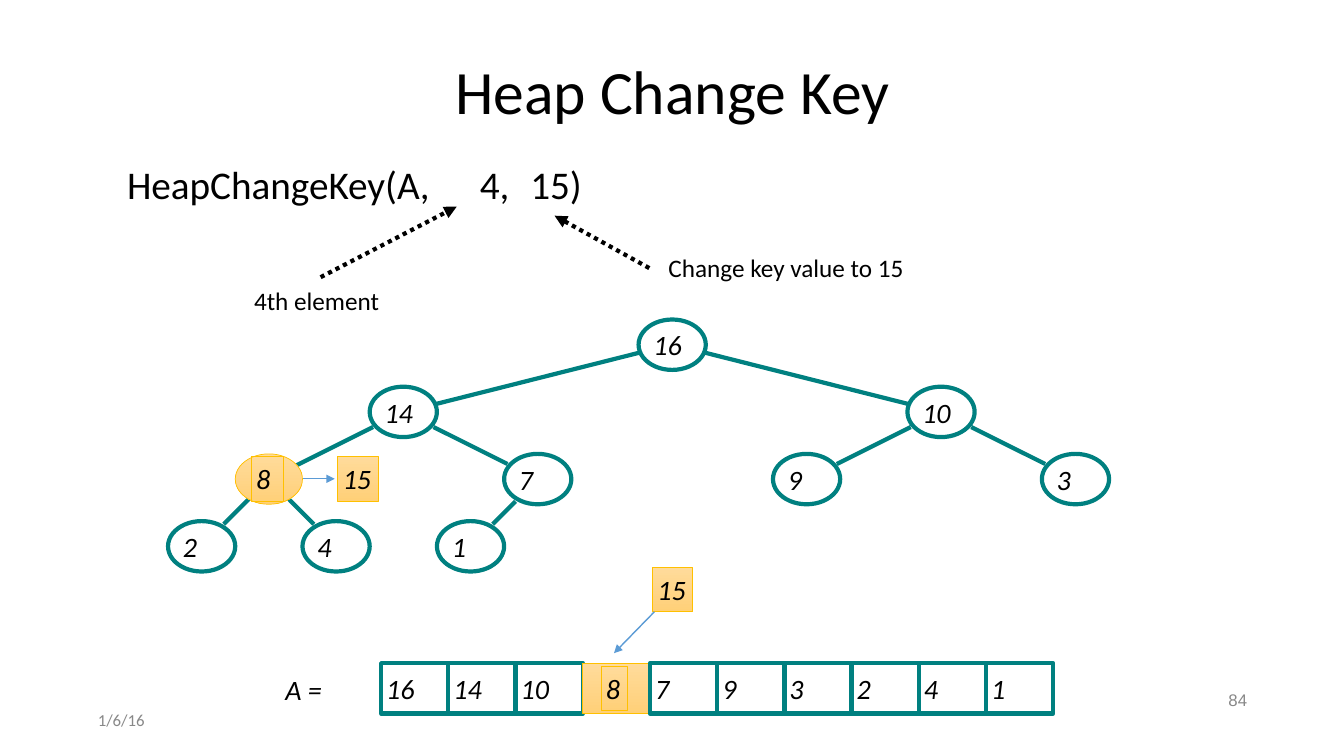
from dataclasses import dataclass

from lxml.etree import SubElement
from pptx import Presentation
from pptx.dml.color import RGBColor
from pptx.enum.dml import MSO_LINE
from pptx.enum.shapes import MSO_CONNECTOR, MSO_SHAPE
from pptx.enum.text import MSO_ANCHOR, MSO_AUTO_SIZE, PP_ALIGN
from pptx.oxml.ns import qn
from pptx.util import Inches, Pt

# Content
TITLE = "Heap Change Key"
CALL = "HeapChangeKey(A,\t4,\t15)"
CALL_TABS = (3.36, 4.02)
HEAP = [16, 14, 10, 8, 7, 9, 3, 2, 4, 1]
CHANGED = 3  # index of the element whose key changes
NEW_KEY = "15"
LABELS = [  # text, (left, top, width, height), format
    ("Change key value to 15", (6.58, 2.45, 2.45, 0.41), {"size": 18, "wrap": False}),
    ("4th element", (2.47, 2.78, 1.36, 0.41), {"size": 18, "wrap": False}),
    ("A =", (2.78, 6.62, 0.48, 0.43), {"italic": True, "wrap": False}),
    ("1/6/16", (0.92, 7, 3, 0.29), {"size": 12, "color": "888888"}),
    ("84", (9.42, 6.8, 3, 0.29), {"size": 12, "color": "888888", "font": "Arial",
                                  "align": PP_ALIGN.RIGHT}),
]
CALL_ARROWS = [((3.18, 2.75), (4.53, 2.05)), ((6.44, 2.66), (5.5, 2.14))]
NODE_ARROW = ((2.84, 4.75), (3.32, 4.75))
CELL_ARROW = ((6.49, 6.07), (6.09, 6.48))

# Geometry in inches
WIDTH, HEIGHT = 2 / 3, 0.5  # of a tree node and of an array cell
TREE_LEFT, TREE_TOP, TREE_SPAN, LEVEL_STEP = 4 / 3, 3.17, 32 / 3, 2 / 3
ARRAY_LEFT, ARRAY_TOP = 3.78, 6.58
EDGE_INSETS = [(0.33, 0.08), (0.3, 0.15), (0.22, 0.22)]  # by parent level


@dataclass(frozen=True)
class Theme:
    font: str = "Calibri"
    ink: str = "000000"
    teal: str = "008080"
    blue: str = "5B9BD5"
    gold: str = "FFC000"
    gold_top: str = "FFDB9B"
    gold_bottom: str = "FFD078"
    title: int = 44
    call: int = 28
    key: int = 20


THEME = Theme()


def rgb(value):
    return RGBColor.from_string(value)


def write(shape, text, size=THEME.key, color=THEME.ink, font=THEME.font, italic=False,
          align=PP_ALIGN.LEFT, anchor=MSO_ANCHOR.MIDDLE, wrap=True, spacing=None,
          inset_y=0.05, tabs=()):
    frame = shape.text_frame
    frame.auto_size = MSO_AUTO_SIZE.NONE
    frame.word_wrap = wrap
    frame.vertical_anchor = anchor
    frame.margin_left = frame.margin_right = Inches(0.05)
    frame.margin_top = frame.margin_bottom = Inches(inset_y)
    para = frame.paragraphs[0]
    para.alignment = align
    para.space_before = Pt(0)
    if spacing:
        para.line_spacing = spacing
    if tabs:
        properties = para._p.get_or_add_pPr()
        properties.set("marL", "0")
        properties.set("indent", "0")
        SubElement(properties, qn("a:buNone"))
        tab_list = SubElement(properties, qn("a:tabLst"))
        for stop in tabs:
            SubElement(tab_list, qn("a:tab"), pos=str(Inches(stop)), algn="l")
    span = para.add_run()
    span.text = text
    span.font.name, span.font.size = font, Pt(size)
    span.font.italic = italic
    span.font.color.rgb = rgb(color)


def place(shape, box):
    shape.left, shape.top, shape.width, shape.height = map(Inches, box)


def add_box(page, kind, box, text="", gold=False, filled=True):
    shape = page.shapes.add_shape(kind, *map(Inches, box))
    shape.shadow.inherit = False
    if not filled:
        shape.fill.background()
    elif gold:
        shape.fill.gradient()
        shape.fill.gradient_angle = 270
        stops = shape.fill.gradient_stops
        for stop, color in zip(stops, (THEME.gold_top, THEME.gold_bottom)):
            stop.color.rgb = rgb(color)
    else:
        shape.fill.solid()
        shape.fill.fore_color.rgb = rgb("FFFFFF")
    shape.line.color.rgb = rgb(THEME.gold if gold else THEME.teal)
    shape.line.width = Pt(0.5 if gold else 3)
    if text:
        write(shape, text, italic=True, inset_y=0)


def add_line(page, start, end, color=THEME.teal, width=3, dash=None, arrow=False):
    line = page.shapes.add_connector(MSO_CONNECTOR.STRAIGHT, *map(Inches, start + end))
    line.line.color.rgb = rgb(color)
    line.line.width = Pt(width)
    if dash:
        line.line.dash_style = dash
    if arrow:
        SubElement(line.line._get_or_add_ln(), qn("a:tailEnd"), type="triangle")
    SubElement(line._element.spPr, qn("a:effectLst"))


def node_center(index):
    level = (index + 1).bit_length() - 1
    slot = index + 1 - 2 ** level
    x = TREE_LEFT + TREE_SPAN / 2 ** level * (slot + 0.5)
    return x, TREE_TOP + LEVEL_STEP * level + HEIGHT / 2, level


def add_node(page, index):
    x, y, _ = node_center(index)
    changed = index == CHANGED
    add_box(page, MSO_SHAPE.OVAL, (x - WIDTH / 2, y - HEIGHT / 2, WIDTH, HEIGHT),
            "" if changed else str(HEAP[index]), gold=changed)


def add_edge(page, child):
    parent = (child - 1) // 2
    (x1, y1, level), (x2, y2, _) = node_center(parent), node_center(child)
    dx, dy = EDGE_INSETS[level]
    side = 1 if x2 > x1 else -1
    # Edges run to the centre of the changed node, which lies over them
    start = (x1, y1) if parent == CHANGED else (x1 + side * dx, y1 + dy)
    end = (x2, y2) if child == CHANGED else (x2 - side * dx, y2 - dy)
    add_line(page, start, end)


def add_tree(page):
    add_line(page, *NODE_ARROW, color=THEME.blue, width=1, arrow=True)
    for index in range(len(HEAP)):
        if index != CHANGED:
            add_node(page, index)
    for child in range(1, len(HEAP)):
        add_edge(page, child)
    add_node(page, CHANGED)
    add_box(page, MSO_SHAPE.RECTANGLE, (2.49, 4.53, 0.32, 0.44), str(HEAP[CHANGED]),
            gold=True, filled=False)
    add_box(page, MSO_SHAPE.RECTANGLE, (3.35, 4.53, 0.4, 0.44), NEW_KEY, gold=True)


def add_array(page):
    for index, key in enumerate(HEAP):
        changed = index == CHANGED
        left = ARRAY_LEFT + WIDTH * index
        add_box(page, MSO_SHAPE.RECTANGLE, (left, ARRAY_TOP, WIDTH, HEIGHT),
                "" if changed else str(key), gold=changed, filled=changed)
        if changed:
            add_box(page, MSO_SHAPE.RECTANGLE, (left + 0.18, 6.61, 0.26, 0.44),
                    str(key), gold=True)
    add_box(page, MSO_SHAPE.RECTANGLE, (6.47, 5.63, 0.4, 0.44), NEW_KEY, gold=True)
    add_line(page, *CELL_ARROW, color=THEME.blue, width=1, arrow=True)


def main():
    deck = Presentation()
    deck.slide_width, deck.slide_height = Inches(13.33), Inches(7.5)
    page = deck.slides.add_slide(deck.slide_layouts[1])

    # Title and function call
    title, body = page.shapes.title, page.placeholders[1]
    place(title, (0.92, 0.4, 11.5, 1.07))
    write(title, TITLE, size=THEME.title, align=PP_ALIGN.CENTER, spacing=0.9)
    place(body, (1.21, 1.59, 4.69, 0.58))
    write(body, CALL, size=THEME.call, anchor=MSO_ANCHOR.TOP, spacing=0.9, tabs=CALL_TABS)

    # Heap as a tree and as an array
    add_tree(page)
    add_array(page)

    # Labels and the arrows to the call's arguments
    for start, end in CALL_ARROWS:
        add_line(page, start, end, color=THEME.ink, dash=MSO_LINE.ROUND_DOT, arrow=True)
    for text, box, style in LABELS:
        write(page.shapes.add_textbox(*map(Inches, box)), text, **style)

    deck.save("out.pptx")


if __name__ == "__main__":
    main()
